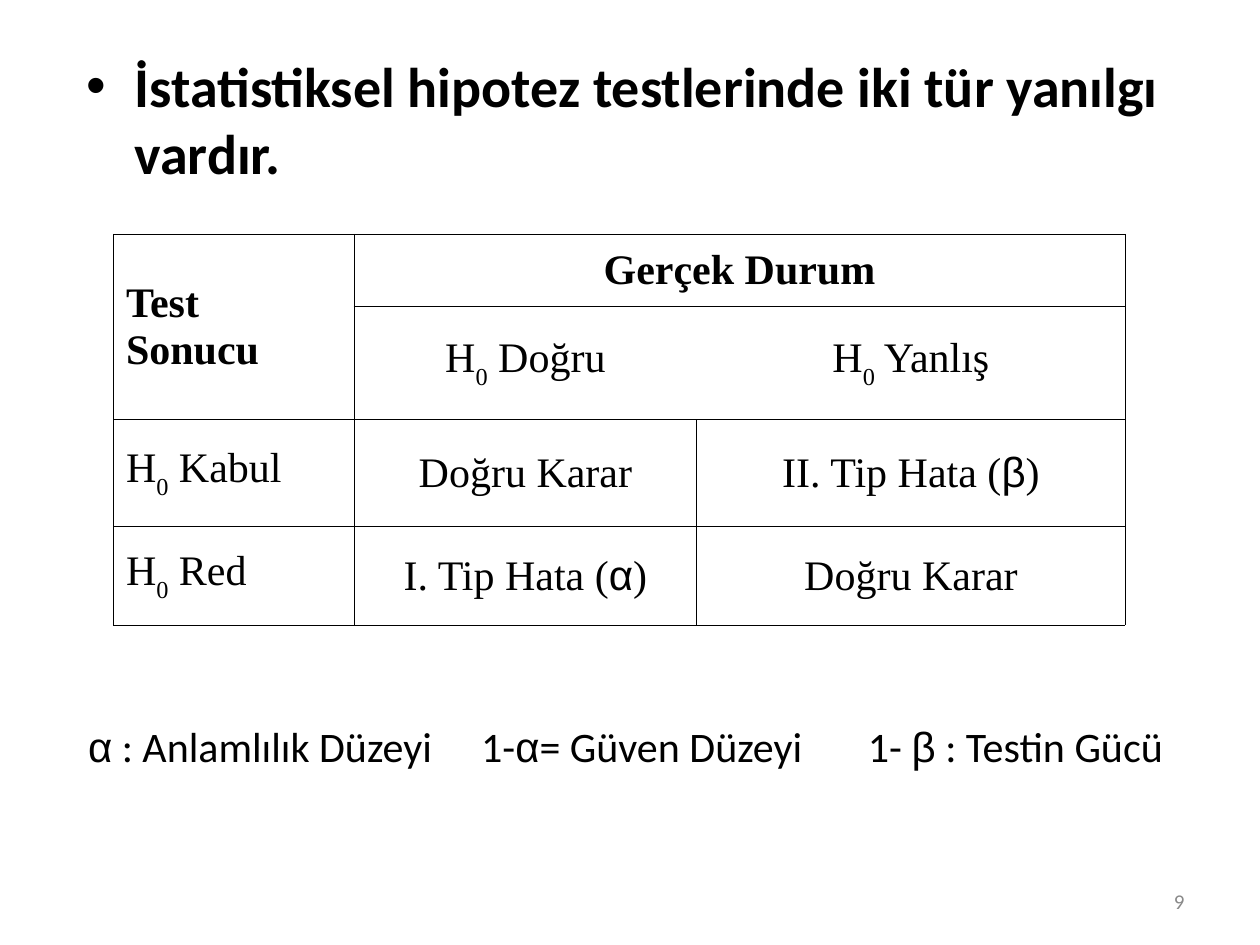
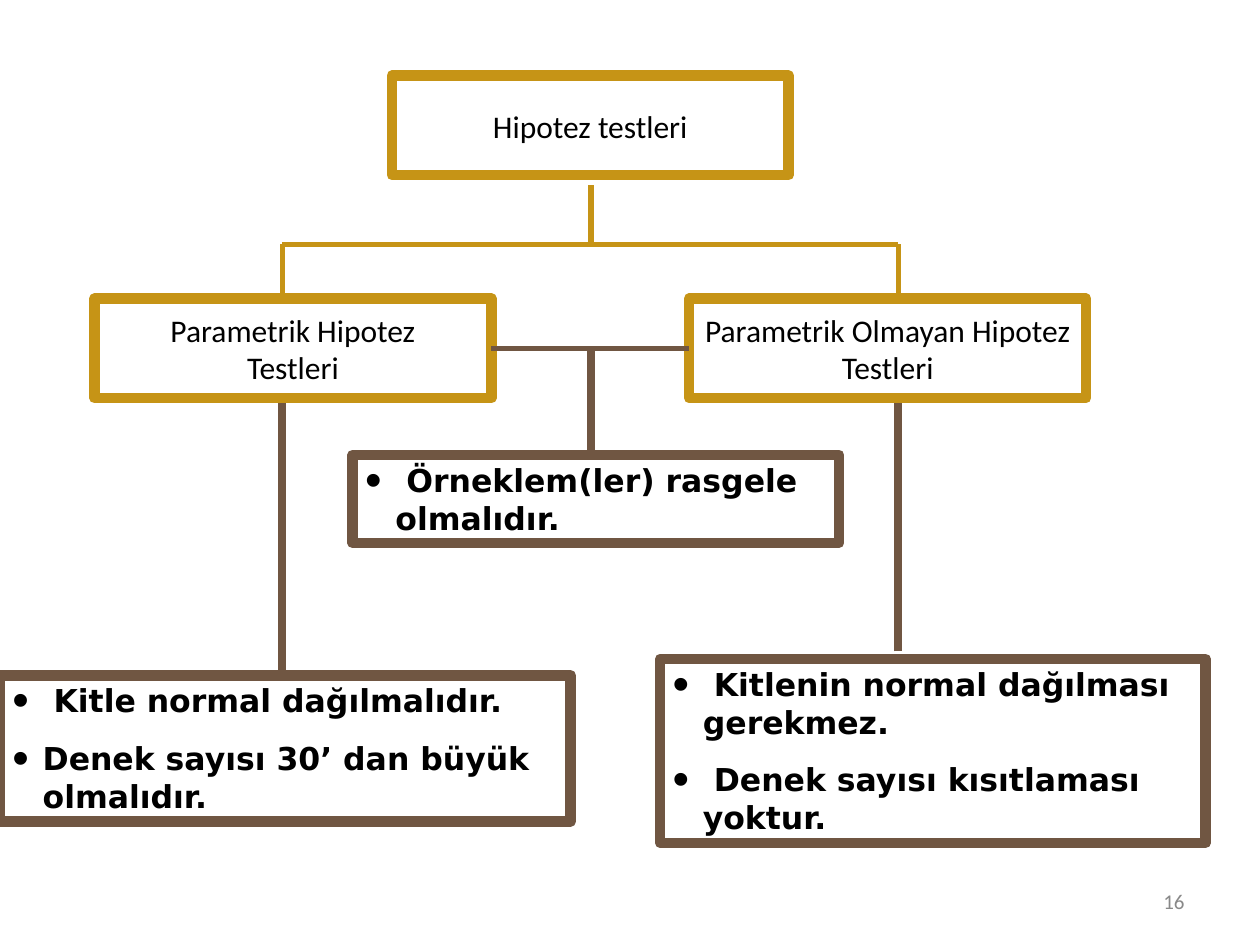
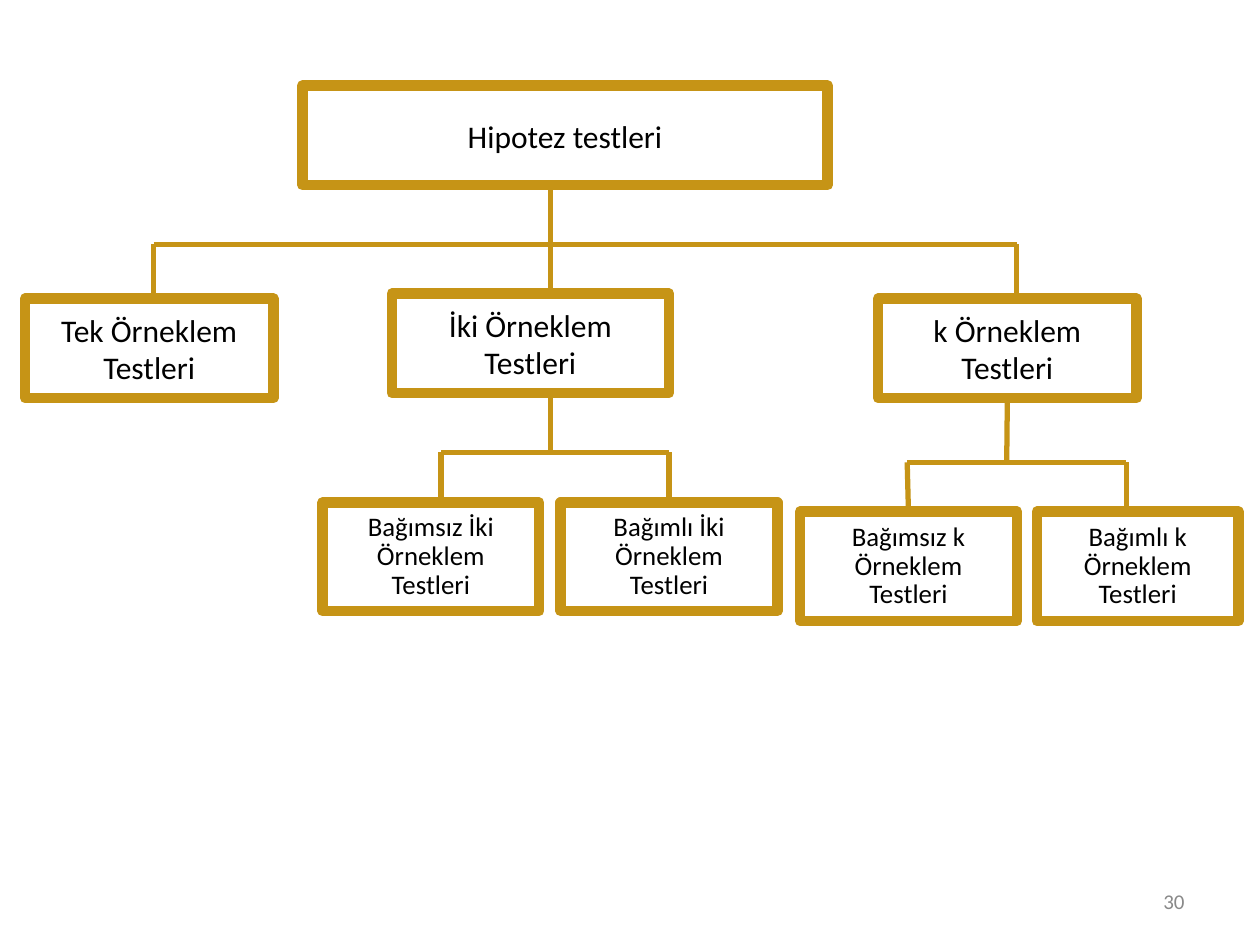
from dataclasses import dataclass
from itertools import groupby

from lxml import etree
from pptx import Presentation
from pptx.dml.color import RGBColor
from pptx.enum.shapes import MSO_CONNECTOR, MSO_SHAPE
from pptx.enum.text import MSO_ANCHOR, PP_ALIGN
from pptx.oxml.ns import qn
from pptx.util import Inches, Pt

LEFT, CENTER, RIGHT, JUSTIFY = PP_ALIGN.LEFT, PP_ALIGN.CENTER, PP_ALIGN.RIGHT, PP_ALIGN.JUSTIFY
TOP, MIDDLE = MSO_ANCHOR.TOP, MSO_ANCHOR.MIDDLE
RECT, STRAIGHT = MSO_SHAPE.RECTANGLE, MSO_CONNECTOR.STRAIGHT


@dataclass(frozen=True)
class Theme:
    ink: str = "000000"
    gold: str = "C69416"
    brown: str = "705642"
    grey: str = "898989"
    sans: str = "Calibri"
    serif: str = "Times New Roman"
    greek: str = "Arial"
    rule: str = "DejaVu Sans"
    heading: float = 32
    body: float = 24
    node: float = 18
    leaf: float = 15.3
    number: float = 12
    frame: float = 6
    thick: float = 4.5
    thin: float = 3
    grid: float = 0.45


T = Theme()

# Content: error table (₀ is set as a subscript, Greek letters in their own font)
HEADING = "İstatistiksel hipotez testlerinde iki tür yanılgı vardır."
COLS = [1.91, 2.72, 3.4]
ROWS = [0.57, 0.9, 0.85, 0.78]
CELLS = [
    ["Test Sonucu", "Gerçek Durum", None],
    [None, "H₀ Doğru", "H₀ Yanlış"],
    ["H₀ Kabul", "Doğru Karar", "II. Tip Hata (β)"],
    ["H₀ Red", "I. Tip Hata (α)", "Doğru Karar"],
]
BOLD_CELLS = {(0, 0), (0, 1)}
OPEN_SIDES = {(1, 1): "R", (1, 2): "L"}
SYMBOLS = "α : Anlamlılık Düzeyi\t1-α= Güven Düzeyi\t1- β : Testin Gücü"

# Content: nodes as (left, top, width, height, paragraphs)
FAMILY_NODES = [
    (3.11, 0.6, 3.15, 0.79, ["Hipotez testleri"]),
    (0.75, 2.37, 3.15, 0.79, ["Parametrik Hipotez", "Testleri"]),
    (5.47, 2.37, 3.15, 0.79, ["Parametrik Olmayan Hipotez Testleri"]),
]
FAMILY_RULES = [
    (2.8, 3.61, 3.86, 0.7, [" Örneklem(ler) rasgele olmalıdır."]),
    (0, 5.36, 4.53, 1.16, [" Kitle normal dağılmalıdır.",
                           "Denek sayısı 30’ dan büyük olmalıdır."]),
    (5.24, 5.23, 4.33, 1.46, [" Kitlenin normal dağılması gerekmez.",
                              " Denek sayısı kısıtlaması yoktur."]),
]
# Lines as (x1, y1, x2, y2, width)
RULE_LINES = [
    (3.9, 2.76, 5.47, 2.76, T.thin),
    (4.69, 3.59, 4.69, 2.76, T.thick),
    (2.24, 5.32, 2.24, 3.2, T.thick),
    (7.13, 5.17, 7.13, 3.2, T.thick),
]
SAMPLE_NODES = [
    (2.4, 0.68, 4.17, 0.79, ["Hipotez testleri"]),
    (0.2, 2.37, 1.97, 0.79, ["Tek Örneklem Testleri"]),
    (3.11, 2.33, 2.2, 0.79, ["İki Örneklem Testleri"]),
    (6.97, 2.37, 2.05, 0.79, ["k Örneklem Testleri"]),
]
SAMPLE_LEAVES = [
    (2.56, 3.99, 1.72, 0.86, ["Bağımsız İki Örneklem Testleri"]),
    (4.45, 3.99, 1.72, 0.86, ["Bağımlı İki Örneklem Testleri"]),
    (6.35, 4.06, 1.72, 0.87, ["Bağımsız k Örneklem Testleri"]),
    (8.23, 4.06, 1.6, 0.87, ["Bağımlı k Örneklem Testleri"]),
]
# Branches as (stem x, stem top, bar y, child xs, child top)
FAMILY_BRANCHES = [(4.69, 1.47, 1.94, [2.24, 7.13], 2.33)]
SAMPLE_BRANCHES = [
    (4.37, 1.47, 1.94, [1.22, 4.37, 8.07], 2.33),
    (4.37, 3.12, 3.59, [3.5, 5.31], 3.99),
    (7.99, 3.16, 3.67, [7.2, 8.94], 4.06),
]


def rgb(color):
    return RGBColor.from_string(color)


def char_kind(ch):
    return "greek" if ch in "αβ" else "sub" if ch == "₀" else "plain"


def set_bullet(p, color, indent, size=None):
    pPr = p._p.get_or_add_pPr()
    pPr.set("marL", str(Inches(indent)))
    pPr.set("indent", str(-Inches(indent)))
    clr = etree.SubElement(pPr, qn("a:buClr"))
    etree.SubElement(clr, qn("a:srgbClr"), val=color)
    if size:
        etree.SubElement(pPr, qn("a:buSzPct"), val=str(size * 1000))
    etree.SubElement(pPr, qn("a:buFont"), typeface="Arial")
    etree.SubElement(pPr, qn("a:buChar"), char="•")


def set_tabs(p, stops):
    tabs = etree.SubElement(p._p.get_or_add_pPr(), qn("a:tabLst"))
    for stop in stops:
        etree.SubElement(tabs, qn("a:tab"), pos=str(Inches(stop)), algn="l")


def write(tf, paragraphs, size=T.node, font=T.sans, color=T.ink, bold=False, align=CENTER,
          before=0, spacing=None, indent=0, bullet_size=None, tabs=()):
    for i, text in enumerate(paragraphs):
        p = tf.paragraphs[0] if i == 0 else tf.add_paragraph()
        p.alignment = align
        p.space_before = Pt(before)
        if spacing:
            p.line_spacing = spacing
        if indent:
            set_bullet(p, T.ink, indent, bullet_size)
        if tabs:
            set_tabs(p, tabs)
        for kind, chars in groupby(text, char_kind):
            r = p.add_run()
            r.text = "".join(chars).replace("₀", "0")
            f = r.font
            f.size, f.bold, f.color.rgb = Pt(size), bold, rgb(color)
            f.name = T.greek if kind == "greek" else font
            if kind == "sub":
                r._r.get_or_add_rPr().set("baseline", "-30000")


def add_text(s, x, y, w, h, paragraphs, anchor=MIDDLE, **fmt):
    tf = s.shapes.add_textbox(*map(Inches, (x, y, w, h))).text_frame
    tf.word_wrap = True
    tf.vertical_anchor = anchor
    write(tf, paragraphs, **fmt)


def add_boxes(s, nodes, color=T.gold, anchor=MIDDLE, **fmt):
    for x, y, w, h, paragraphs in nodes:
        sp = s.shapes.add_shape(RECT, *map(Inches, (x, y, w, h)))
        sp.shadow.inherit = False
        sp.fill.background()
        sp.line.color.rgb = rgb(color)
        sp.line.width = Pt(T.frame)
        sp.text_frame.word_wrap = True
        sp.text_frame.vertical_anchor = anchor
        write(sp.text_frame, paragraphs, **fmt)


def find_joint(s, x, y):
    """Return the box and side whose middle lies at the point, if any."""
    for sp in s.shapes:
        if not sp.has_text_frame:
            continue
        cx, cy = sp.left + sp.width / 2, sp.top + sp.height / 2
        sides = [(cx, sp.top), (sp.left, cy), (cx, sp.top + sp.height), (sp.left + sp.width, cy)]
        for i, (sx, sy) in enumerate(sides):
            if max(abs(sx - x), abs(sy - y)) < Inches(0.02):
                return sp, i
    return None


def add_line(s, x1, y1, x2, y2, width=T.thin, color=T.gold):
    ends = [Inches(v) for v in (x1, y1, x2, y2)]
    ln = s.shapes.add_connector(STRAIGHT, *ends)
    ln.line.color.rgb = rgb(color)
    ln.line.width = Pt(width)
    etree.SubElement(ln._element.spPr, qn("a:effectLst"))
    for connect, point in ((ln.begin_connect, ends[:2]), (ln.end_connect, ends[2:])):
        joint = find_joint(s, *point)
        if joint:
            connect(*joint)


def add_branches(s, branches):
    for x, top, bar, children, bottom in branches:
        add_line(s, x, top, x, bar)
        add_line(s, children[0], bar, children[-1], bar)
        for cx in children:
            add_line(s, cx, bar, cx, bottom)


def set_borders(cell, open_side):
    tcPr = cell._tc.get_or_add_tcPr()
    for i, side in enumerate("LRTB"):
        ln = etree.Element(qn("a:ln" + side), w=str(Pt(T.grid)))
        if side == open_side:
            etree.SubElement(ln, qn("a:noFill"))
        else:
            fill = etree.SubElement(ln, qn("a:solidFill"))
            etree.SubElement(fill, qn("a:srgbClr"), val=T.ink)
        tcPr.insert(i, ln)


def add_error_table(s, x, y):
    box = map(Inches, (x, y, sum(COLS), sum(ROWS)))
    tbl = s.shapes.add_table(len(ROWS), len(COLS), *box).table
    tbl.first_row = tbl.horz_banding = False
    for col, w in zip(tbl.columns, COLS):
        col.width = Inches(w)
    for row, h in zip(tbl.rows, ROWS):
        row.height = Inches(h)
    tbl.cell(0, 0).merge(tbl.cell(1, 0))
    tbl.cell(0, 1).merge(tbl.cell(0, 2))
    for i, texts in enumerate(CELLS):
        for j, text in enumerate(texts):
            cell = tbl.cell(i, j)
            cell.fill.background()
            cell.vertical_anchor = MIDDLE
            set_borders(cell, OPEN_SIDES.get((i, j)))
            if text:
                write(cell.text_frame, [text], size=T.body, font=T.serif,
                      bold=(i, j) in BOLD_CELLS, align=CENTER if j else JUSTIFY)


def add_slide(prs, number):
    s = prs.slides.add_slide(prs.slide_layouts[6])
    add_text(s, 7.17, 6.95, 2.33, 0.4, [str(number)], size=T.number, color=T.grey, align=RIGHT)
    return s


def main():
    prs = Presentation()
    prs.slide_width, prs.slide_height = Inches(10), Inches(7.5)

    # Two kinds of error
    s = add_slide(prs, 9)
    add_text(s, 0.59, 0.36, 9, 1.3, [HEADING], anchor=TOP, size=T.heading, bold=True,
             align=LEFT, before=8, indent=0.38)
    add_error_table(s, 0.9, 1.86)
    add_text(s, 0.6, 5.67, 8.81, 0.5, [SYMBOLS], size=T.body, align=LEFT, tabs=(3.12, 6.19))

    # Parametric and non-parametric tests
    s = add_slide(prs, 16)
    add_boxes(s, FAMILY_NODES)
    add_branches(s, FAMILY_BRANCHES)
    add_boxes(s, FAMILY_RULES, color=T.brown, anchor=TOP, font=T.rule, bold=True, align=LEFT,
              before=11.2, indent=0.24, bullet_size=150)
    for line in RULE_LINES:
        add_line(s, *line, color=T.brown)

    # Tests by number of samples
    s = add_slide(prs, 30)
    add_boxes(s, SAMPLE_NODES)
    add_boxes(s, SAMPLE_LEAVES, size=T.leaf, spacing=0.9)
    add_branches(s, SAMPLE_BRANCHES)

    prs.save("out.pptx")


if __name__ == "__main__":
    main()
